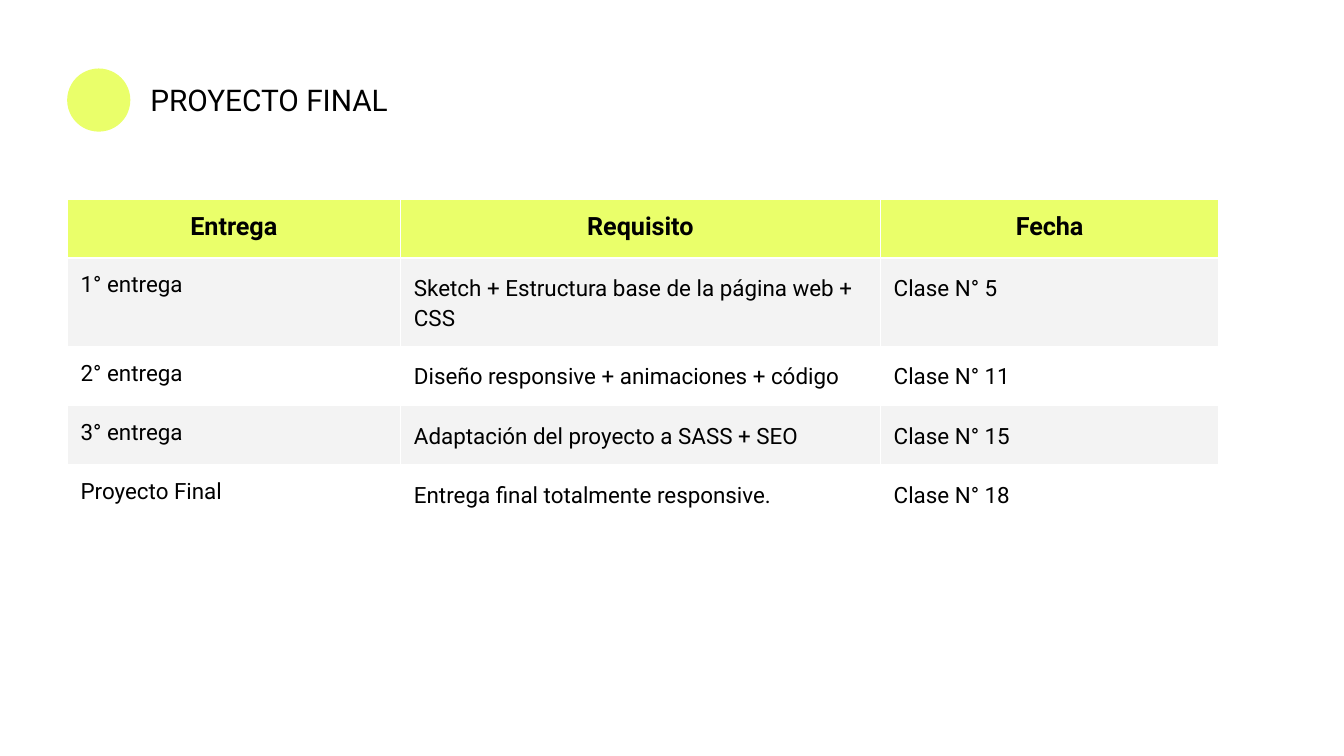
"""Build the final project slide with its table of deliveries."""
from dataclasses import dataclass

from lxml import etree
from pptx import Presentation
from pptx.dml.color import RGBColor
from pptx.enum.shapes import MSO_SHAPE
from pptx.enum.text import MSO_ANCHOR, PP_ALIGN
from pptx.oxml.ns import qn
from pptx.util import Inches, Pt


@dataclass(frozen=True)
class Theme:
    font: str = "Roboto"
    text: str = "000000"
    accent: str = "EAFF6A"
    band: str = "F3F3F3"
    plain: str = "FFFFFF"
    border: str = "FFFFFF"
    border_width: float = 0.75
    title_size: float = 16
    header_size: float = 13.5
    body_size: float = 12
    inset: float = 0.1


def write_text(tf, text, *, theme, size, bold=False, align=PP_ALIGN.LEFT, spacing=None):
    p = tf.paragraphs[0]
    p.alignment = align
    if spacing:
        p.line_spacing = spacing
    r = p.add_run()
    r.text = text
    r.font.name = theme.font
    r.font.size = Pt(size)
    r.font.bold = bold
    r.font.color.rgb = RGBColor.from_string(theme.text)


def set_insets(box, inset):
    for side in ("left", "top", "right", "bottom"):
        setattr(box, f"margin_{side}", Inches(inset))


class SlideBuilder:
    def __init__(self, slide, theme):
        self.slide = slide
        self.theme = theme

    def circle(self, x, y, diameter):
        sp = self.slide.shapes.add_shape(
            MSO_SHAPE.OVAL, Inches(x), Inches(y), Inches(diameter), Inches(diameter))
        sp.shadow.inherit = False
        sp.fill.solid()
        sp.fill.fore_color.rgb = RGBColor.from_string(self.theme.accent)
        sp.line.fill.background()

    def title(self, text, x, y, w, h):
        sp = self.slide.shapes.add_textbox(Inches(x), Inches(y), Inches(w), Inches(h))
        tf = sp.text_frame
        tf.word_wrap = True
        set_insets(tf, self.theme.inset)
        write_text(tf, text, theme=self.theme, size=self.theme.title_size)

    def table(self, rows, x, y, widths, heights):
        table = self.slide.shapes.add_table(
            len(rows), len(widths), Inches(x), Inches(y),
            Inches(sum(widths)), Inches(sum(heights))).table
        for column, width in zip(table.columns, widths):
            column.width = Inches(width)
        for i, (row, height) in enumerate(zip(rows, heights)):
            table.rows[i].height = Inches(height)
            for j, text in enumerate(row):
                self.cell(table.cell(i, j), text, i, j)

    def cell(self, cell, text, row, col):
        theme = self.theme
        set_insets(cell, theme.inset)
        cell.vertical_anchor = MSO_ANCHOR.TOP
        cell.fill.solid()
        if row == 0:
            color = theme.accent
            style = dict(size=theme.header_size, bold=True, align=PP_ALIGN.CENTER)
        else:
            color = theme.band if row % 2 else theme.plain
            style = dict(size=theme.body_size, spacing=1.15 if col else None)
        cell.fill.fore_color.rgb = RGBColor.from_string(color)
        write_text(cell.text_frame, text, theme=theme, **style)
        self.borders(cell)

    def borders(self, cell):
        tc_pr = cell._tc.get_or_add_tcPr()
        for i, tag in enumerate(("a:lnL", "a:lnR", "a:lnT", "a:lnB")):
            ln = etree.Element(qn(tag), w=str(Pt(self.theme.border_width)))
            fill = etree.SubElement(ln, qn("a:solidFill"))
            etree.SubElement(fill, qn("a:srgbClr"), val=self.theme.border)
            tc_pr.insert(i, ln)


def main():
    prs = Presentation()
    prs.slide_width, prs.slide_height = Inches(10), Inches(10 * 9 / 16)
    s = SlideBuilder(prs.slides.add_slide(prs.slide_layouts[6]), Theme())
    s.title("PROYECTO FINAL", 1.02, 0.51, 2.69, 0.47)
    s.circle(0.5, 0.51, 0.47)
    deliveries = [
        ("Entrega", "Requisito", "Fecha"),
        ("1° entrega", "Sketch + Estructura base de la página web + CSS", "Clase N° 5"),
        ("2° entrega", "Diseño responsive + animaciones + código", "Clase N° 11"),
        ("3° entrega", "Adaptación del proyecto a SASS + SEO", "Clase N° 15"),
        ("Proyecto Final", "Entrega final totalmente responsive.", "Clase N° 18"),
    ]
    s.table(deliveries, 0.5, 1.48, widths=(2.48, 3.57, 2.52),
            heights=(0.44, 0.66, 0.44, 0.44, 0.44))
    prs.save("out.pptx")


if __name__ == "__main__":
    main()
